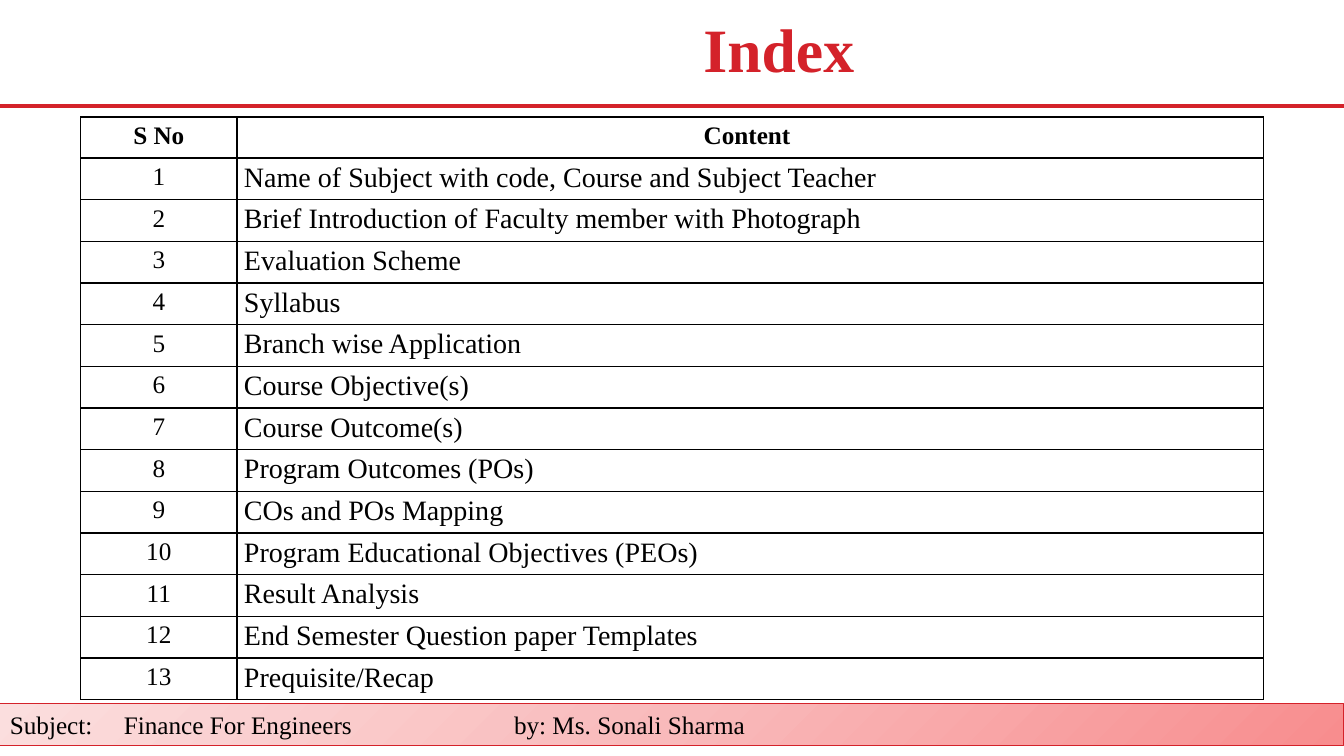
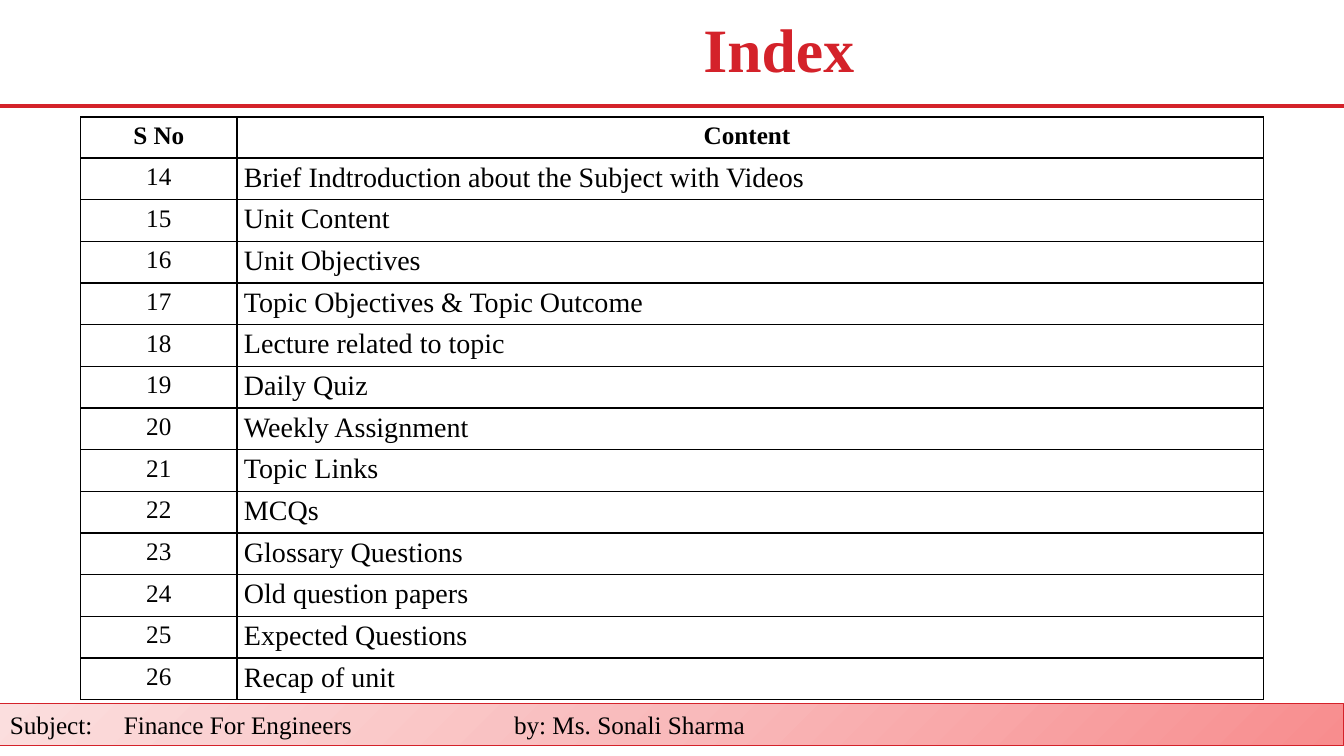
from dataclasses import dataclass
from pptx import Presentation
from pptx.dml.color import RGBColor
from pptx.enum.shapes import MSO_CONNECTOR, MSO_SHAPE
from pptx.enum.text import MSO_ANCHOR, PP_ALIGN
from pptx.oxml import parse_xml
from pptx.oxml.ns import nsdecls
from pptx.util import Inches, Pt


@dataclass(frozen=True)
class Theme:
    font: str = "Times New Roman"
    red: str = "D4222A"
    black: str = "000000"
    fade: tuple = ((0, "F88D8E"), (50, "F9BABB"), (100, "FBDEDE"))
    angle: int = 225
    title: int = 44
    item: int = 20
    body: int = 18
    wide: float = 13.33
    high: float = 7.5


FOOTER = "Subject:\tFinance For Engineers\tby: Ms. Sonali Sharma"
STOPS = (1.13, 5)
TOPICS = (
    (
        "Name of Subject with code, Course and Subject Teacher",
        "Brief Introduction of Faculty member with Photograph",
        "Evaluation Scheme",
        "Syllabus",
        "Branch wise Application",
        "Course Objective(s)",
        "Course Outcome(s)",
        "Program Outcomes (POs)",
        "COs and POs Mapping",
        "Program Educational Objectives (PEOs)",
        "Result Analysis",
        "End Semester Question paper Templates",
        "Prequisite/Recap",
    ),
    (
        "Brief Indtroduction about the Subject with Videos",
        "Unit Content",
        "Unit Objectives",
        "Topic Objectives & Topic Outcome",
        "Lecture related to topic",
        "Daily Quiz",
        "Weekly Assignment",
        "Topic Links",
        "MCQs",
        "Glossary Questions",
        "Old question papers",
        "Expected Questions",
        "Recap of unit",
    ),
)


class Deck:
    def __init__(self, theme):
        self.theme = theme
        self.prs = Presentation()
        self.prs.slide_width = Inches(theme.wide)
        self.prs.slide_height = Inches(theme.high)
        self.slide = None

    def start(self, title):
        """Add a slide with the shared rule, footer and title."""
        self.slide = self.prs.slides.add_slide(self.prs.slide_layouts[6])
        self.rule(1.05)
        self.footer()
        self.title(title)

    def add_text(self, para, text, size, color, bold=False, align=PP_ALIGN.LEFT):
        para.alignment = align
        run = para.add_run()
        run.text = text
        font = run.font
        font.name, font.size, font.bold = self.theme.font, Pt(size), bold
        font.color.rgb = RGBColor.from_string(color)

    def rule(self, top):
        line = self.slide.shapes.add_connector(
            MSO_CONNECTOR.STRAIGHT, 0, Inches(top), Inches(self.theme.wide), Inches(top))
        line.line.color.rgb = RGBColor.from_string(self.theme.red)
        line.line.width = Pt(3)
        line._element.spPr.append(parse_xml(f'<a:effectLst {nsdecls("a")}/>'))

    def footer(self):
        look = self.theme
        bar = self.slide.shapes.add_shape(
            MSO_SHAPE.RECTANGLE, 0, Inches(6.98), Inches(look.wide), Inches(0.42))
        bar.shadow.inherit = False
        stops = "".join(
            f'<a:gs pos="{pos * 1000}"><a:srgbClr val="{color}"/></a:gs>'
            for pos, color in look.fade)
        # The fill must follow the position and the geometry.
        bar._element.spPr.insert(2, parse_xml(
            f'<a:gradFill {nsdecls("a")} rotWithShape="1"><a:gsLst>{stops}</a:gsLst>'
            f'<a:lin ang="{look.angle * 60000}" scaled="1"/></a:gradFill>'))
        bar.line.color.rgb = RGBColor.from_string(look.red)
        bar.line.width = Pt(0.75)
        frame = bar.text_frame
        frame.vertical_anchor = MSO_ANCHOR.MIDDLE
        para = frame.paragraphs[0]
        tabs = "".join(f'<a:tab pos="{Inches(stop)}" algn="l"/>' for stop in STOPS)
        para._p.get_or_add_pPr().append(
            parse_xml(f'<a:tabLst {nsdecls("a")}>{tabs}</a:tabLst>'))
        self.add_text(para, FOOTER, look.body, look.black)

    def title(self, text):
        box = self.slide.shapes.add_textbox(
            Inches(2.17), Inches(0.1), Inches(11.11), Inches(0.84))
        frame = box.text_frame
        frame.word_wrap = True
        frame.vertical_anchor = MSO_ANCHOR.MIDDLE
        para = frame.paragraphs[0]
        para.line_spacing = 0.9
        self.add_text(para, text, self.theme.title, self.theme.red, True, PP_ALIGN.CENTER)

    def cell(self, cell, text, size, bold=False, align=PP_ALIGN.CENTER):
        look = self.theme
        props = cell._tc.get_or_add_tcPr()
        for side in "LRTB":
            props.append(parse_xml(
                f'<a:ln{side} {nsdecls("a")} w="{Pt(1)}"><a:solidFill>'
                f'<a:srgbClr val="{look.black}"/></a:solidFill></a:ln{side}>'))
        cell.fill.background()
        if align == PP_ALIGN.LEFT:
            cell.margin_left = cell.margin_right = Inches(0.07)
            cell.margin_top = cell.margin_bottom = Inches(0.04)
        self.add_text(cell.text_frame.paragraphs[0], text, size, look.black, bold, align)

    def table(self, first, topics):
        """List the topics, numbered from first."""
        look = self.theme
        count, tall = len(topics) + 1, 5.71
        grid = self.slide.shapes.add_table(
            count, 2, Inches(0.8), Inches(1.16), Inches(11.73), Inches(tall)).table
        grid.horz_banding = False
        for col, width in zip(grid.columns, (1.55, 10.18)):
            col.width = Inches(width)
        for row in grid.rows:
            row.height = Inches(tall / count)
        for col, head in enumerate(("S No", "Content ")):
            self.cell(grid.cell(0, col), head, look.body, True)
        for row, topic in enumerate(topics, 1):
            self.cell(grid.cell(row, 0), str(first + row - 1), look.body)
            self.cell(grid.cell(row, 1), topic, look.item, align=PP_ALIGN.LEFT)


def main():
    deck = Deck(Theme())
    first = 1
    for topics in TOPICS:
        deck.start("Index")
        deck.table(first, topics)
        first += len(topics)
    deck.prs.save("out.pptx")


if __name__ == "__main__":
    main()
